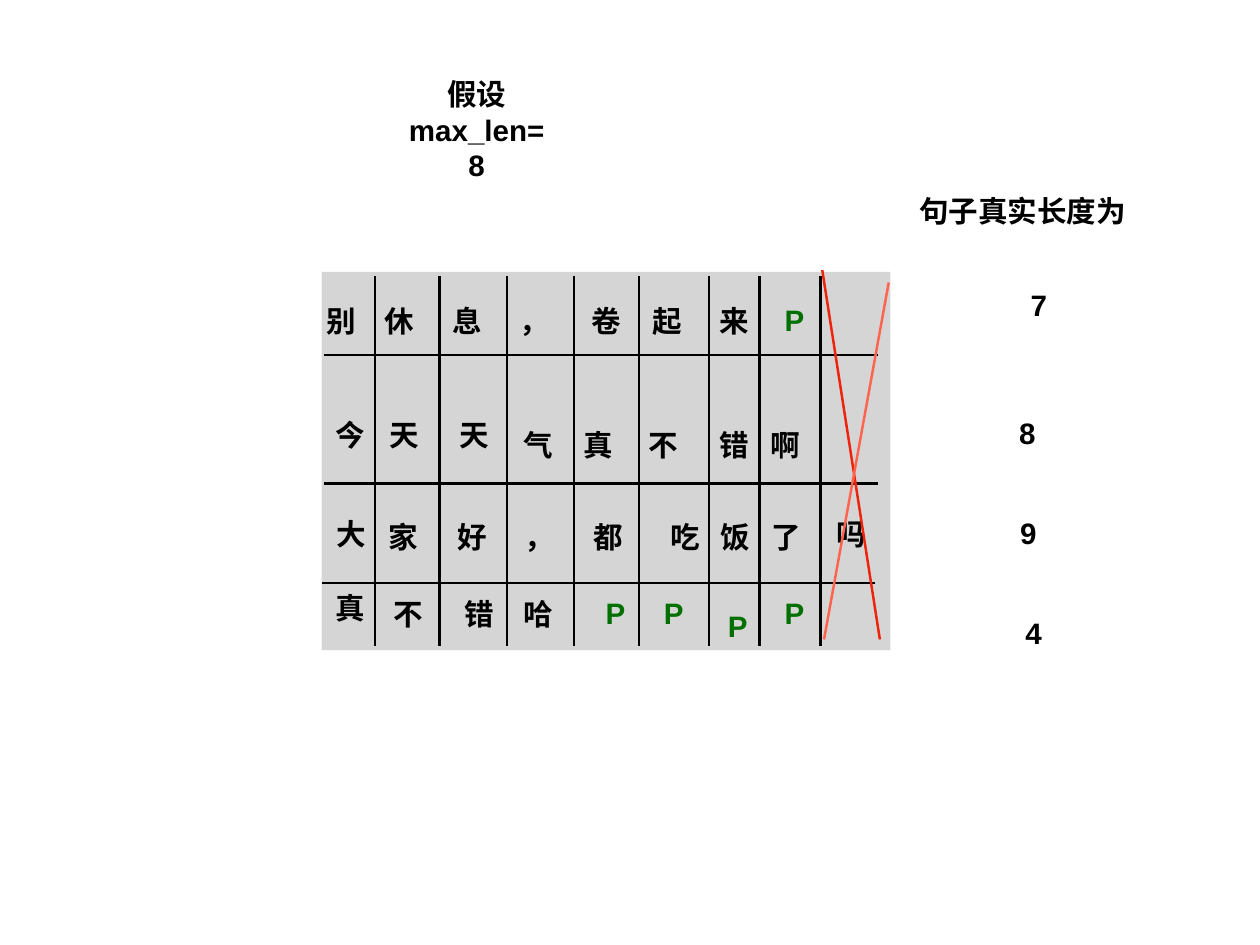
import pptx
import pptx.util
import pptx.dml.color
import pptx.enum.shapes
import pptx.enum.text
import pptx.oxml.ns
from lxml import etree

PX = 9144  # 100 px to the inch
BLACK, GREEN, GREY = "000000", "027001", "D6D5D5"
RED, CORAL = "EE230C", "FF644E"
PAD = "P"

# Each token: text, centre x, centre y, measured from the grid's corner
SENTENCES = [
    [("别", 22, 55), ("休", 88, 55), ("息", 164, 55), ("，", 240, 55),
     ("卷", 321, 55), ("起", 390, 55), ("来", 466, 55), (PAD, 533, 54)],
    [("今", 32, 183), ("天", 93, 183), ("天", 172, 183), ("气", 245, 195),
     ("真", 312, 195), ("不", 386, 195), ("错", 466, 195), ("啊", 523, 195)],
    [("大", 34, 295), ("家", 92, 299), ("好", 170, 299), ("，", 246, 299),
     ("都", 323, 299), ("吃", 410, 299), ("饭", 467, 299), ("了", 524, 299),
     ("吗", 598, 295)],
    [("真", 32, 379), ("不", 98, 386), ("错", 178, 386), ("哈", 245, 386),
     (PAD, 331, 385), (PAD, 397, 385), (PAD, 469, 400), (PAD, 533, 385)],
]
COLUMN_LINES = [60, 133, 209, 285, 358, 437, 494, 563]
ROW_LINES = [(94, 3), (239, 3), (351, 0)]  # y, left end
ROW_LINE_LENGTH = 625
LENGTHS = [("7", 141, 135), ("8", 128, 280), ("9", 129, 393), ("4", 135, 505)]


def px(length):
    return pptx.util.Emu(length * PX)


def colour(value):
    return pptx.dml.color.RGBColor.from_string(value)


def add_label(page, text, centre_x, centre_y, width=46, height=57, ink=BLACK):
    box = page.shapes.add_textbox(px(centre_x - width // 2), px(centre_y - height // 2),
                                  px(width), px(height))
    frame = box.text_frame
    settings = {
        "word_wrap": False,
        "vertical_anchor": pptx.enum.text.MSO_ANCHOR.MIDDLE,
        "margin_left": px(6), "margin_right": px(6),
        "margin_top": px(6), "margin_bottom": px(6),
    }
    for name, value in settings.items():
        setattr(frame, name, value)
    for index, line in enumerate(text.split("\n")):
        para = frame.paragraphs[0] if index == 0 else frame.add_paragraph()
        para.alignment = pptx.enum.text.PP_ALIGN.CENTER
        span = para.add_run()
        span.text = line
        for name, value in {"name": "Arial", "size": pptx.util.Pt(24), "bold": True}.items():
            setattr(span.font, name, value)
        span.font.color.rgb = colour(ink)
        etree.SubElement(span.font._element, pptx.oxml.ns.qn("a:ea"), typeface="Arial")


def add_line(page, start, end, ink=BLACK):
    line = page.shapes.add_connector(pptx.enum.shapes.MSO_CONNECTOR.STRAIGHT,
                                     *map(px, start + end))
    line.line.color.rgb = colour(ink)
    line.line.width = pptx.util.Pt(2)
    etree.SubElement(line._element.spPr, pptx.oxml.ns.qn("a:effectLst"))


def draw_token_grid(page, left, top, width, height):
    panel = page.shapes.add_shape(pptx.enum.shapes.MSO_SHAPE.RECTANGLE,
                                  px(left), px(top), px(width), px(height))
    panel.shadow.inherit = False
    panel.fill.solid()
    panel.fill.fore_color.rgb = colour(GREY)
    panel.line.fill.background()

    for x in COLUMN_LINES:
        add_line(page, (left + x, top + height - 5), (left + x, top + 5))
    for y, indent in ROW_LINES:
        start = left + indent
        add_line(page, (start + ROW_LINE_LENGTH, top + y), (start, top + y))

    for sentence in SENTENCES:
        for token, x, y in sentence:
            look = {"width": 35, "height": 50, "ink": GREEN} if token == PAD else {}
            add_label(page, token, left + x, top + y, **look)


def draw_cut_off(page, left, top, width, height):
    """Cross out the column beyond max_len."""
    bottom = top + height
    add_line(page, (left + 65, bottom), (left, top), RED)
    add_line(page, (left + 2, bottom), (left + width, top + 14), CORAL)


def draw_lengths(page, left, top, width):
    add_label(page, "句子真实长度为", left + width // 2, top + 28, width=width)
    for length, x, y in LENGTHS:
        add_label(page, length, left + x, top + y, width=31, height=50)


def main():
    deck = pptx.Presentation()
    deck.slide_width, deck.slide_height = px(1422), px(1067)
    page = deck.slides.add_slide(deck.slide_layouts[6])
    add_label(page, "假设\nmax_len=8", 538, 146, width=180, height=92)
    draw_token_grid(page, 363, 307, 642, 427)
    draw_cut_off(page, 928, 305, 75, 417)
    draw_lengths(page, 1031, 209, 246)
    deck.save("out.pptx")


if __name__ == "__main__":
    main()
